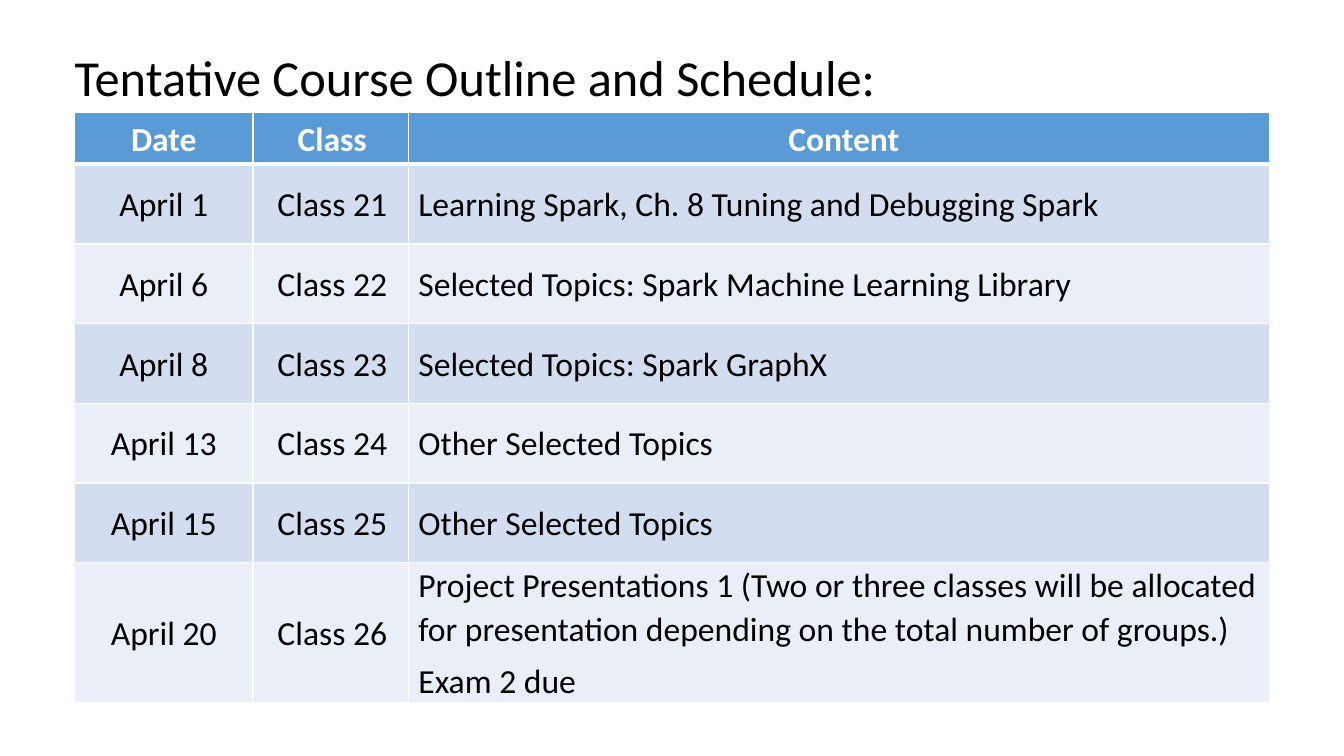
from dataclasses import dataclass

from lxml import etree
from pptx import Presentation
from pptx.dml.color import RGBColor
from pptx.enum import text
from pptx.oxml import ns
from pptx.util import Pt


@dataclass(frozen=True)
class Theme:
    font: str = "Calibri"
    title_size: int = 36
    cell_size: int = 24
    ink: str = "000000"
    white: str = "FFFFFF"
    header: str = "5B9BD5"
    bands: tuple = ("D2DEEF", "EAEFF7")


HEADINGS = ("Date", "Class", "Content")
SCHEDULE = (
    ("April 1", ["Learning Spark, Ch. 8 Tuning and Debugging Spark"]),
    ("April 6", ["Selected Topics: Spark Machine Learning Library"]),
    ("April 8", ["Selected Topics: Spark GraphX"]),
    ("April 13", ["Other Selected Topics"]),
    ("April 15", ["Other Selected Topics"]),
    ("April 20", ["Project Presentations 1 (Two or three classes will be allocated "
                  "for presentation depending on the total number of groups.)",
                  "Exam 2 due"]),
)
FIRST_CLASS = 21
COLUMN_WIDTHS = (127.5, 110.9, 614.9)
COLUMN_INDENTS = (0, 2.2, 7.2)
HEADER_HEIGHT, ROW_HEIGHT = 37.4, 56.9


class SlideBuilder:
    def __init__(self, slide, theme):
        self.slide = slide
        self.theme = theme

    def add_run(self, p, words, size, color, bold=False):
        r = p.add_run()
        r.text = words
        r.font.name = self.theme.font
        r.font.size = Pt(size)
        r.font.bold = bold
        r.font.color.rgb = RGBColor.from_string(color)

    def title(self, words, left, top, width, height):
        sp = self.slide.shapes.title
        sp.left, sp.top, sp.width, sp.height = map(Pt, (left, top, width, height))
        tf = sp.text_frame
        tf.auto_size = text.MSO_AUTO_SIZE.NONE
        tf.word_wrap = True
        tf.vertical_anchor = text.MSO_ANCHOR.MIDDLE
        tf.margin_left = tf.margin_right = Pt(7.2)
        tf.margin_top, tf.margin_bottom = Pt(3.6), 0
        p = tf.paragraphs[0]
        p.alignment = text.PP_ALIGN.LEFT
        p.line_spacing = 0.9
        self.add_run(p, words, self.theme.title_size, self.theme.ink)

    def borders(self, cell, top, bottom):
        """Draw white cell edges; top and bottom are widths in points."""
        tc_pr = cell._tc.get_or_add_tcPr()
        for side, width in (("L", 1), ("R", 1), ("T", top), ("B", bottom)):
            ln = etree.SubElement(tc_pr, ns.qn(f"a:ln{side}"), w=str(Pt(width)))
            fill = etree.SubElement(ln, ns.qn("a:solidFill"))
            etree.SubElement(fill, ns.qn("a:srgbClr"), val=self.theme.white)

    def cell(self, cell, lines, row, column):
        is_header = row == 0
        theme = self.theme
        self.borders(cell, top=3 if row == 1 else 1, bottom=3 if is_header else 1)
        cell.fill.solid()
        cell.fill.fore_color.rgb = RGBColor.from_string(
            theme.header if is_header else theme.bands[(row - 1) % 2])
        cell.vertical_anchor = text.MSO_ANCHOR.MIDDLE
        cell.margin_left = cell.margin_right = cell.margin_top = cell.margin_bottom = 0
        centred = is_header or column < 2
        tf = cell.text_frame
        for i, line in enumerate(lines):
            p = tf.add_paragraph() if i else tf.paragraphs[0]
            p.alignment = text.PP_ALIGN.CENTER if centred else text.PP_ALIGN.LEFT
            p.line_spacing = 1.07
            p.space_before = p.space_after = Pt(3)
            p._p.get_or_add_pPr().set("marL", str(Pt(COLUMN_INDENTS[column])))
            self.add_run(p, line, theme.cell_size,
                         theme.white if is_header else theme.ink, bold=is_header)

    def table(self, rows, left, top, height):
        frame = self.slide.shapes.add_table(
            len(rows), len(COLUMN_WIDTHS), Pt(left), Pt(top),
            Pt(sum(COLUMN_WIDTHS)), Pt(height))
        table = frame.table
        for column, width in zip(table.columns, COLUMN_WIDTHS):
            column.width = Pt(width)
        for r, row in enumerate(rows):
            table.rows[r].height = Pt(ROW_HEIGHT if r else HEADER_HEIGHT)
            for c, lines in enumerate(row):
                self.cell(table.cell(r, c), lines, r, c)
        frame.height = Pt(height)


def main():
    prs = Presentation()
    prs.slide_width, prs.slide_height = Pt(960), Pt(540)
    slide = prs.slides.add_slide(prs.slide_layouts[5])
    builder = SlideBuilder(slide, Theme())
    builder.title("Tentative Course Outline and Schedule:", 46.1, 31.7, 591, 48.2)
    rows = [[[heading] for heading in HEADINGS]]
    for number, (date, content) in enumerate(SCHEDULE, FIRST_CLASS):
        rows.append([[date], [f"Class {number}"], content])
    builder.table(rows, 53.3, 80, 417.6)
    prs.save("out.pptx")


if __name__ == "__main__":
    main()
